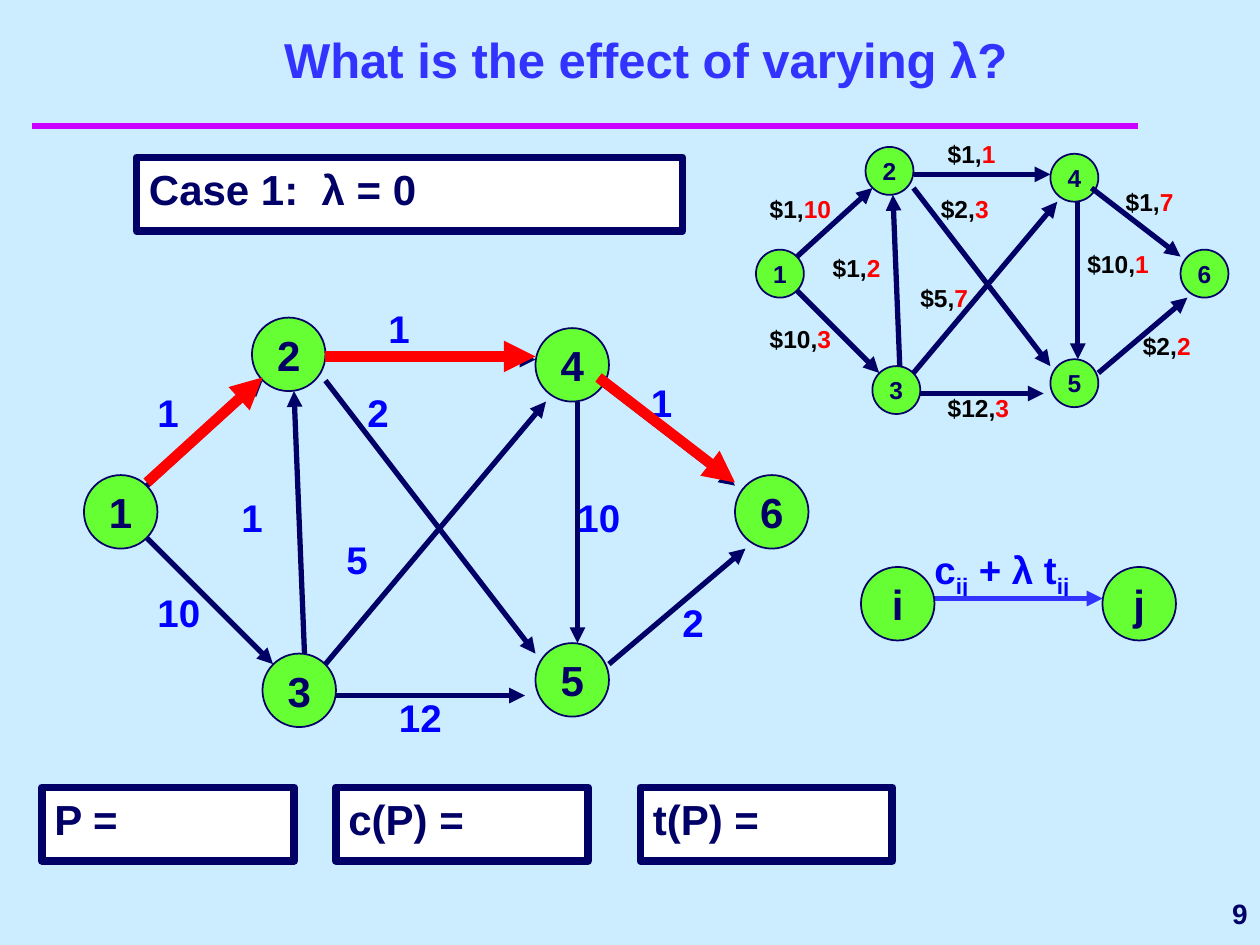
from lxml import etree
from pptx import Presentation, util as u
from pptx.dml.color import RGBColor
from pptx.enum import shapes, text
from pptx.oxml.ns import qn

SKY = RGBColor(0xCC, 0xEC, 0xFF)
NAVY = RGBColor(0x00, 0x00, 0x66)
BLUE = RGBColor(0x00, 0x00, 0xFF)
IRIS = RGBColor(0x33, 0x33, 0xFF)
PINK = RGBColor(0xCC, 0x00, 0xFF)
LIME = RGBColor(0x66, 0xFF, 0x33)
RED = RGBColor(0xFF, 0x00, 0x00)
BLACK = RGBColor(0x00, 0x00, 0x00)
WHITE = RGBColor(0xFF, 0xFF, 0xFF)

# The slide is a grid of 120 columns by 90 rows; a graph has 69 by 39 cells
COLS, ROWS = 120, 90
WIDE, NODE = 69, 7
LEFT, MID, RIGHT = text.PP_ALIGN.LEFT, text.PP_ALIGN.CENTER, text.PP_ALIGN.RIGHT
TOP, HALF, LOW = (text.MSO_ANCHOR.TOP, text.MSO_ANCHOR.MIDDLE,
                  text.MSO_ANCHOR.BOTTOM)

# Node corners and edge ends, in graph cells
NODES = {"1": (0, 15), "2": (16, 0), "4": (43, 1),
         "5": (43, 31), "3": (17, 32), "6": (62, 15)}
EDGES = {
    "12": (6, 16, 17, 6), "24": (23, 4, 43, 4), "25": (23, 6, 43, 32),
    "13": (6, 21, 18, 33), "32": (21, 32, 20, 7), "34": (23, 33, 44, 8),
    "35": (24, 36, 42, 36), "56": (50, 33, 63, 22), "46": (49, 6, 62, 16),
    "45": (47, 8, 47, 31),
}
ROUTE = ("12", "24", "46")

# Labels: column, row, cost and time
COSTS = [(7, 6.8, "1"), (29, -1.2, "1"), (54, 5.8, "1"), (27, 6.8, "2"),
         (7, 25.8, "10"), (30, 35.8, "12"), (57, 26.8, "2"),
         (15, 16.8, "1"), (47, 16.8, "10"), (25, 20.8, "5")]
PAIRS = [(2, 6.8, "$1,", "10"), (28, -1.1, "$1,", "1"),
         (54, 5.8, "$1,", "7"), (27, 6.8, "$2,", "3"),
         (2, 25.9, "$10,", "3"), (28, 35.9, "$12,", "3"),
         (56.5, 26.9, "$2,", "2"), (11.2, 15.5, "$1,", "2"),
         (48.4, 14.9, "$10,", "1"), (24, 19.9, "$5,", "7")]

deck = Presentation()
deck.slide_width, deck.slide_height = u.Inches(10), u.Inches(7.5)
slide = deck.slides.add_slide(deck.slide_layouts[6])
slide.background.fill.solid()
slide.background.fill.fore_color.rgb = SKY


def place(*spots):
    """Turn grid columns and rows, in turn, into slide lengths."""
    spans = (deck.slide_width / COLS, deck.slide_height / ROWS)
    return [round(s * spans[i % 2]) for i, s in enumerate(spots)]


def write(part, runs, size, align=LEFT, anchor=TOP, pad=(0.1, 0.05), wrap=True):
    """Fill a part with runs of (words, colour, baseline share)."""
    frame = part.text_frame
    frame.word_wrap, frame.vertical_anchor = wrap, anchor
    frame.margin_left = frame.margin_right = u.Inches(pad[0])
    frame.margin_top = frame.margin_bottom = u.Inches(pad[1])
    para = frame.paragraphs[0]
    para.alignment = align
    for words, hue, base in runs:
        run = para.add_run()
        run.text = words
        font = run.font
        font.name, font.size, font.bold = "Arial", u.Pt(size), True
        font.color.rgb = hue
        if base:
            run._r.get_or_add_rPr().set("baseline", str(base * 1000))


def label(box, runs, size, **kind):
    write(slide.shapes.add_textbox(*place(*box)), runs, size, **kind)


def solid(form, box, fill, width):
    part = slide.shapes.add_shape(form, *place(*box))
    part.shadow.inherit = False
    part.fill.solid()
    part.fill.fore_color.rgb = fill
    part.line.color.rgb = NAVY
    part.line.width = u.Pt(width)
    return part


def line(ends, hue, width, head=True):
    link = slide.shapes.add_connector(shapes.MSO_CONNECTOR.STRAIGHT, *place(*ends))
    link.line.color.rgb = hue
    link.line.width = u.Pt(width)
    if head:
        tip = etree.SubElement(link.line._get_or_add_ln(), qn("a:tailEnd"))
        tip.set("type", "triangle")
    etree.SubElement(link._element.spPr, qn("a:effectLst"))


def node(box, name, size):
    part = solid(shapes.MSO_SHAPE.OVAL, box, LIME, 1)
    write(part, [(name, NAVY, 0)], size, MID, HALF, wrap=False)


def field(box, words):
    part = solid(shapes.MSO_SHAPE.RECTANGLE, box, WHITE, 4.5)
    write(part, [(words, NAVY, 0)], 24)


def header(box):
    """Title with the rule below it."""
    x, y, w, h = box
    label(box, [("What is the effect of varying λ?", IRIS, 0)], 28,
          align=MID, anchor=LOW)
    line((x - 2, y + h + 3, x + w - 9.64, y + h + 3), PINK, 4, head=False)


def graph(box, size, tags, font, route=()):
    """Network scaled to the width of its box."""
    x, y, w, _ = box
    cell = w / WIDE

    def span(ends, lift=0):
        a, b, c, d = ends
        return (x + a * cell, y + (b - lift) * cell,
                x + c * cell, y + (d - lift) * cell)

    for name, (col, row) in NODES.items():
        node((x + col * cell, y + row * cell, NODE * cell, NODE * cell), name, size)
    for ends in EDGES.values():
        line(span(ends), NAVY, 3)
    for col, row, *words in tags:
        hues = (BLACK, RED) if len(words) == 2 else (BLUE,)
        runs = [(word, hue, 0) for word, hue in zip(words, hues)]
        label((x + col * cell, y + row * cell, 11.5 * cell, 4.4 * cell),
              runs, font, pad=(0, 0))
    for name in route:
        line(span(EDGES[name], 0.3), RED, 6)


def legend(box):
    """Sample edge from i to j."""
    x, y, w, h = box
    label((x + h, y - 2, w - 2 * h, 5),
          [("c", BLUE, 0), ("ij", BLUE, -25), (" + λ t", BLUE, 0),
           ("ij", BLUE, -25)], 22, pad=(0, 0))
    node((x + w - h, y, h, h), "j", 24)
    line((x + h - 1, y + 3, x + w - h, y + 3), IRIS, 3)
    node((x, y, h, h), "i", 24)


def answers(box):
    """Row of boxes to be filled in."""
    x, y, w, h = box
    for col, words in ((0, "P ="), (28, "c(P) ="), (57, "t(P) =")):
        field((x + col, y, w - 57, h), words)


def main():
    header((5, 4, 113, 5))
    field((13, 15, 52, 7), "Case 1:  λ = 0")
    graph((8, 30.25, 69, 39), 24, COSTS, 22, ROUTE)
    answers((4, 75, 81, 7))
    graph((72, 14, 45, 25.4), 14, PAIRS, 14)
    legend((82, 54, 30, 7))
    label((97, 84, 23, 6), [("9", NAVY, 0)], 16, align=RIGHT, anchor=HALF)
    deck.save("out.pptx")


if __name__ == "__main__":
    main()
